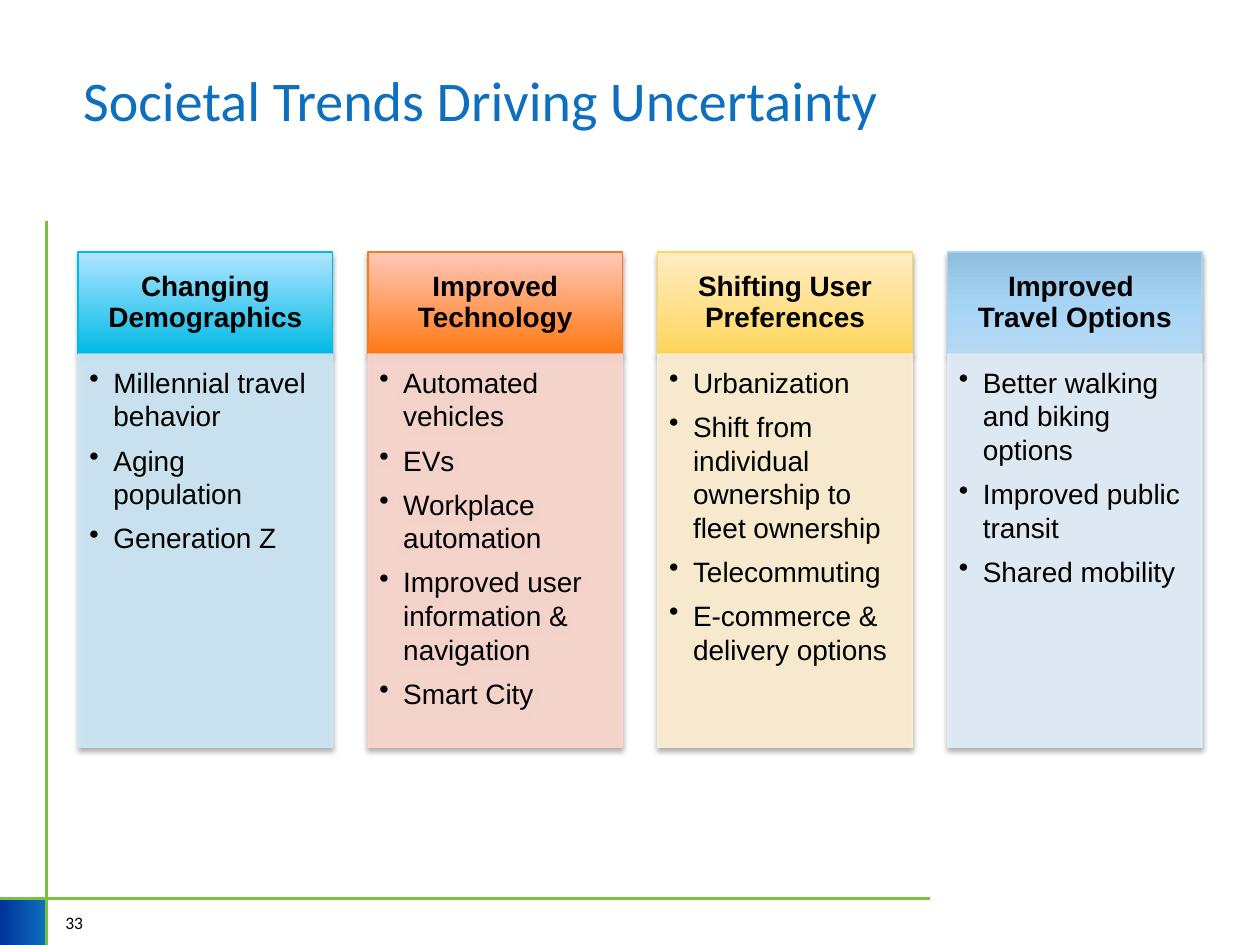
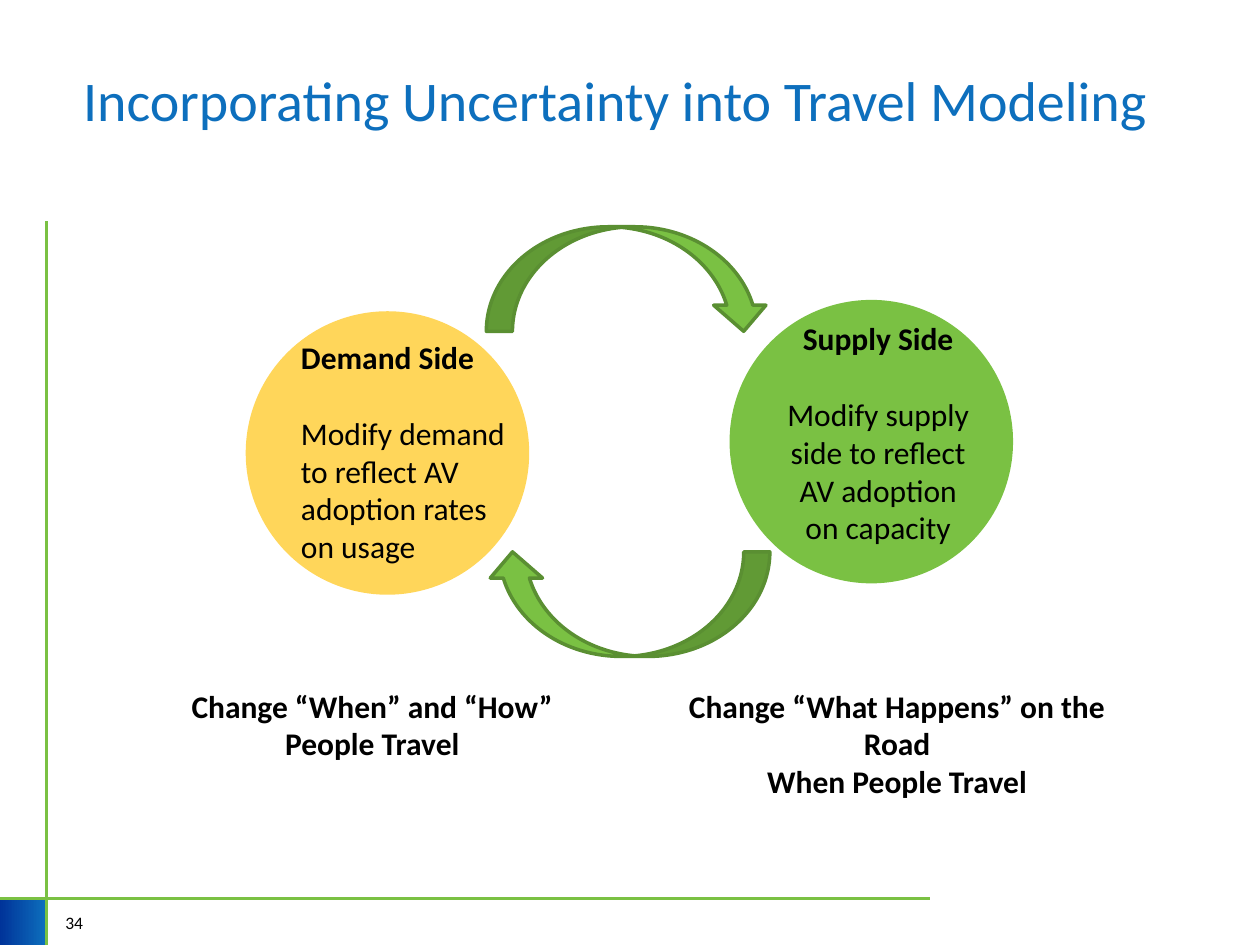
import copy

import pptx
import pptx.chart.data
import pptx.dml.color
import pptx.enum.shapes
import pptx.enum.text
import pptx.oxml
import pptx.oxml.ns
import pptx.util
from lxml import etree

Inches = pptx.util.Inches
Pt = pptx.util.Pt
RGB = pptx.dml.color.RGBColor.from_string
qn = pptx.oxml.ns.qn
SHAPE = pptx.enum.shapes.MSO_SHAPE
ALIGN = pptx.enum.text.PP_ALIGN
ANCHOR = pptx.enum.text.MSO_ANCHOR


class Theme:
    blue, navy = "0D6FBD", "003399"
    green, dark_green = "7AC143", "5A8F32"
    yellow, black = "FFD65A", "000000"
    heading_font, card_font = "Calibri", "Arial"
    title_size, label_size, card_size, number_size = 32, 18, 16, 10


def write(shape, texts, size, font=Theme.heading_font, color=Theme.black,
          align=ALIGN.LEFT, anchor=ANCHOR.TOP, bold=False):
    """Put one paragraph per text into the shape and format them all alike."""
    frame = shape.text_frame
    frame.text = "\n".join(texts)
    frame.word_wrap = True
    frame.auto_size = pptx.enum.text.MSO_AUTO_SIZE.NONE
    frame.vertical_anchor = anchor
    for paragraph in frame.paragraphs:
        paragraph.alignment = align
        for run in paragraph.runs:
            run.font.name = font
            run.font.size = Pt(size)
            run.font.bold = bold
            run.font.color.rgb = RGB(color)
    return frame


def fill_gradient(shape, colors, angle):
    """Spread the colours evenly; the angle runs counter-clockwise."""
    shape.fill.gradient()
    shape.fill.gradient_angle = angle
    stop_list = shape._element.spPr.find(".//" + qn("a:gsLst"))
    while len(stop_list) < len(colors):
        stop_list.append(copy.deepcopy(stop_list[0]))
    for index, (stop, color) in enumerate(zip(shape.fill.gradient_stops, colors)):
        stop.position = index / (len(colors) - 1)
        stop.color.rgb = RGB(color)


presentation = pptx.Presentation()
presentation.slide_width = Inches(10)
presentation.slide_height = Inches(7.5)

# Title, corner block, rules and page number shared by both slides
slides = []
for number, title in enumerate(["Societal Trends Driving Uncertainty",
                                "Incorporating Uncertainty into Travel Modeling"], 33):
    slide = presentation.slides.add_slide(presentation.slide_layouts[5])
    slides.append(slide)
    title_shape = slide.shapes.title
    title_shape.left, title_shape.top = Inches(0.56), Inches(0.44)
    title_shape.width, title_shape.height = Inches(8.94), Inches(0.7)
    write(title_shape, [title], Theme.title_size, color=Theme.blue, anchor=ANCHOR.MIDDLE)

    corner = slide.shapes.add_shape(SHAPE.RECTANGLE, Inches(0), Inches(7.13),
                                    Inches(0.37), Inches(0.37))
    corner.shadow.inherit = False
    fill_gradient(corner, [Theme.navy, Theme.blue], 0)
    corner.line.fill.background()

    for ends in [(0, 7.13, 7.38, 7.13), (0.37, 7.5, 0.37, 1.75)]:
        rule = slide.shapes.add_connector(pptx.enum.shapes.MSO_CONNECTOR.STRAIGHT,
                                          *[Inches(value) for value in ends])
        rule.line.color.rgb = RGB(Theme.green)
        rule.line.width = Pt(1.5)
        etree.SubElement(rule._element.spPr, qn("a:effectLst"))

    page_number = slide.shapes.add_textbox(Inches(0.42), Inches(7.18),
                                           Inches(0.64), Inches(0.28))
    write(page_number, [str(number)], Theme.number_size, anchor=ANCHOR.MIDDLE)

trends_slide, modeling_slide = slides

# Four trend cards: heading, gradient from the bottom up, line, body colour, points
trends = [
    ("Changing Demographics", ["00BBE5", "B0E4FF"], "00BBE5", "CCE7F5",
     ["Millennial travel behavior", "Aging population", "Generation Z"]),
    ("Improved\vTechnology", ["FF7915", "FFC8B8"], "F47B20", "FBD7CD",
     ["Automated vehicles", "EVs", "Workplace automation",
      "Improved user information & navigation", "Smart City"]),
    ("Shifting User Preferences", [Theme.yellow, "FFECC4"], Theme.yellow, "FFF0D2",
     ["Urbanization", "Shift from individual ownership to fleet ownership",
      "Telecommuting", "E-commerce & delivery options"]),
    ("Improved \vTravel Options", ["B6D9F4", "A6D4F5", "8FBDDE"], "AAD3F1", "E2EFFA",
     ["Better walking and biking options", "Improved public transit",
      "Shared mobility"]),
]
for column, (heading, gradient, line_color, body_color, points) in enumerate(trends):
    left = Inches(0.62 + 2.3 * column)
    header = trends_slide.shapes.add_shape(SHAPE.RECTANGLE, left, Inches(2),
                                           Inches(2.02), Inches(0.81))
    fill_gradient(header, gradient, 90)
    header.line.color.rgb = RGB(line_color)
    frame = write(header, [heading], Theme.card_size, Theme.card_font,
                  align=ALIGN.CENTER, anchor=ANCHOR.MIDDLE, bold=True)
    frame.margin_left = frame.margin_right = Inches(0.12)
    frame.margin_top = frame.margin_bottom = Inches(0.07)
    frame.paragraphs[0].line_spacing = 0.9

    body = trends_slide.shapes.add_shape(SHAPE.RECTANGLE, left, Inches(2.81),
                                         Inches(2.02), Inches(3.12))
    body.fill.solid()
    body.fill.fore_color.rgb = RGB(body_color)
    body.line.color.rgb = RGB(body_color)
    for color in list(body._element.spPr.iter(qn("a:srgbClr"))):
        etree.SubElement(color, qn("a:alpha"), val="90000")
    frame = write(body, points, Theme.card_size, Theme.card_font)
    frame.margin_left = frame.margin_top = Inches(0.09)
    frame.margin_right, frame.margin_bottom = Inches(0.12), Inches(0.14)
    for paragraph in frame.paragraphs:
        paragraph.space_after = Pt(6)
        properties = paragraph._p.get_or_add_pPr()
        properties.set("marL", str(Inches(0.19)))
        properties.set("indent", str(Inches(-0.19)))
        etree.SubElement(properties, qn("a:buChar"), char="•")

    for part in (header, body):
        part.line.width = Pt(0.75)
        part.shadow.inherit = False
        effects = part._element.spPr.find(qn("a:effectLst"))
        shadow = etree.SubElement(effects, qn("a:outerShdw"), blurRad=str(Pt(3.1)),
                                  dist=str(Pt(1.8)), dir="5400000", rotWithShape="0")
        shadow_color = etree.SubElement(shadow, qn("a:srgbClr"), val=Theme.black)
        etree.SubElement(shadow_color, qn("a:alpha"), val="35000")

# Demand and supply circles
for left, top, color in [(1.95, 2.47, Theme.yellow), (5.79, 2.38, Theme.green)]:
    circle = modeling_slide.shapes.add_shape(SHAPE.OVAL, Inches(left), Inches(top),
                                             Inches(2.25), Inches(2.25))
    circle.shadow.inherit = False
    circle.fill.solid()
    circle.fill.fore_color.rgb = RGB(color)
    circle.line.fill.background()

sides = [
    ((2.29, 2.63, 1.85, 1.92), ALIGN.LEFT, "Demand Side",
     "Modify demand to reflect AV adoption rates on usage"),
    ((6.12, 2.48, 1.7, 2.22), ALIGN.CENTER, "Supply Side",
     "Modify supply side to reflect AV adoption on capacity"),
]
for box, align, name, action in sides:
    side = modeling_slide.shapes.add_textbox(*[Inches(value) for value in box])
    frame = write(side, [name, action], Theme.label_size, align=align)
    frame.paragraphs[0].runs[0].font.bold = True
    frame.paragraphs[1].space_before = Pt(22)

effects_on_travel = [
    (1.37, 3.17, ["Change “When” and “How” People Travel"]),
    (5.16, 3.92, ["Change “What Happens” on the Road", "When People Travel"]),
]
for left, width, texts in effects_on_travel:
    caption = modeling_slide.shapes.add_textbox(Inches(left), Inches(5.4),
                                                Inches(width), Inches(0.71))
    write(caption, texts, Theme.label_size, align=ALIGN.CENTER, bold=True)

# Arrows closing the loop between the circles
for top, rotation in [(1.8, 0), (4.38, 180)]:
    arrow = modeling_slide.shapes.add_shape(SHAPE.CURVED_DOWN_ARROW, Inches(3.86),
                                            Inches(top), Inches(2.25), Inches(0.83))
    arrow.rotation = rotation
    arrow.shadow.inherit = False
    arrow.fill.solid()
    arrow.fill.fore_color.rgb = RGB(Theme.green)
    arrow.line.color.rgb = RGB(Theme.dark_green)
    arrow.line.width = Pt(2)

presentation.save("out.pptx")
